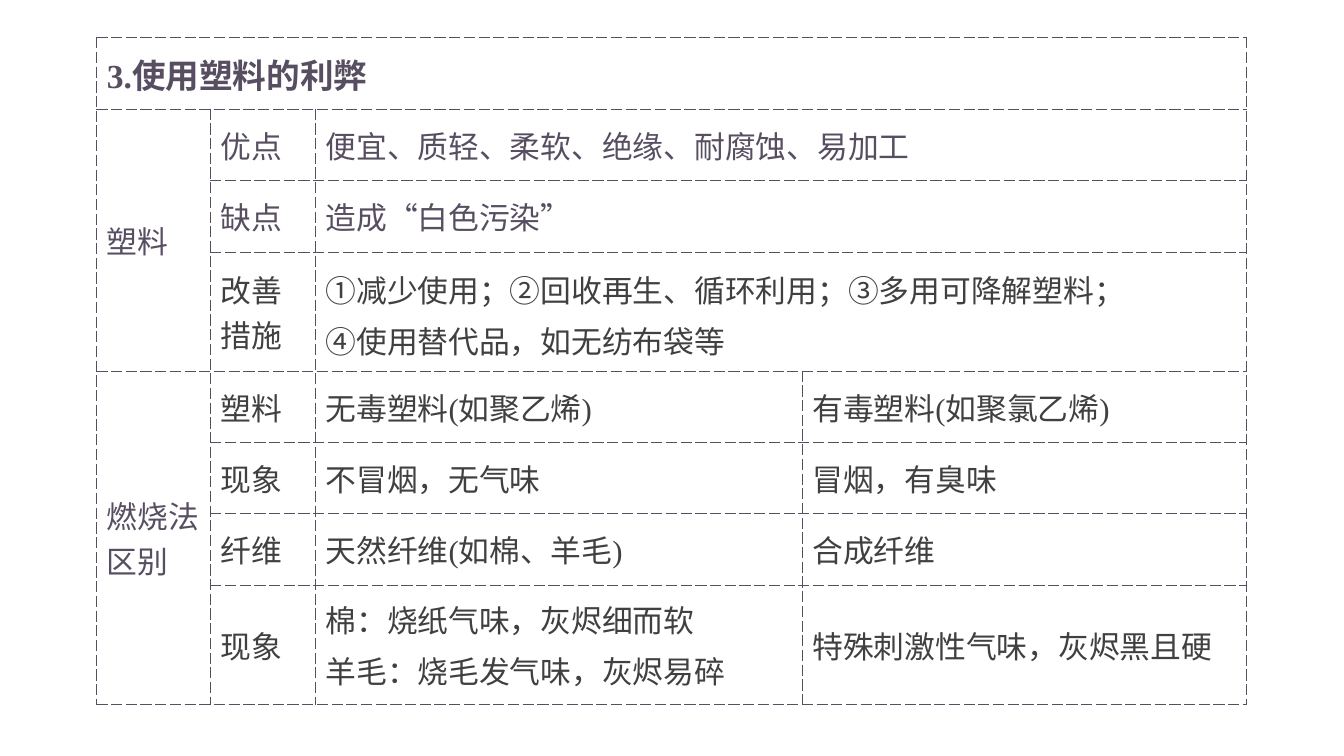
from lxml import etree
from pptx import Presentation
from pptx.dml.color import RGBColor
from pptx.enum import lang, text
from pptx.oxml import ns
from pptx.util import Cm, Pt

PURPLE, GREY, WHITE = "584E61", "404040", "FFFFFF"
FONT = "Times New Roman"
TABLE_LEFT, TABLE_TOP = 2.44, 0.95
COLUMN_WIDTHS = [2.87, 2.64, 12.27, 11.2]
LOW_ROW, TALL_ROW = 1.8, 3.0
TALL_ROWS = {3, 7}

# (row, column, row span, column span, lines, colour)
CELLS = [
    (0, 0, 1, 4, ["3.使用塑料的利弊"], PURPLE),
    (1, 0, 3, 1, ["塑料"], PURPLE),
    (1, 1, 1, 1, ["优点"], PURPLE),
    (1, 2, 1, 2, ["便宜、质轻、柔软、绝缘、耐腐蚀、易加工"], PURPLE),
    (2, 1, 1, 1, ["缺点"], PURPLE),
    (2, 2, 1, 2, ["造成“白色污染”"], PURPLE),
    (3, 1, 1, 1, ["改善", "措施"], GREY),
    (3, 2, 1, 2, ["①减少使用；②回收再生、循环利用；③多用可降解塑料；",
                  "④使用替代品，如无纺布袋等"], GREY),
    (4, 0, 4, 1, ["燃烧法", "区别"], PURPLE),
    (4, 1, 1, 1, ["塑料"], GREY),
    (4, 2, 1, 1, ["无毒塑料(如聚乙烯)"], GREY),
    (4, 3, 1, 1, ["有毒塑料(如聚氯乙烯)"], GREY),
    (5, 1, 1, 1, ["现象"], GREY),
    (5, 2, 1, 1, ["不冒烟，无气味"], GREY),
    (5, 3, 1, 1, ["冒烟，有臭味"], GREY),
    (6, 1, 1, 1, ["纤维"], GREY),
    (6, 2, 1, 1, ["天然纤维(如棉、羊毛)"], GREY),
    (6, 3, 1, 1, ["合成纤维"], GREY),
    (7, 1, 1, 1, ["现象"], GREY),
    (7, 2, 1, 1, ["棉：烧纸气味，灰烬细而软", "羊毛：烧毛发气味，灰烬易碎"], GREY),
    (7, 3, 1, 1, ["特殊刺激性气味，灰烬黑且硬"], GREY),
]
WIDE_LINES = {(3, 2): (0, 1), (7, 2): (1,)}
LINE_SPACING = 1.15


def colour(value):
    return RGBColor.from_string(value)


def add_borders(cell):
    """Put a dashed line on all four sides, ahead of the cell's fill."""
    properties = cell._tc.get_or_add_tcPr()
    for position, side in enumerate(("lnL", "lnR", "lnT", "lnB")):
        line = etree.Element(ns.qn(f"a:{side}"), w=str(Pt(0.75)))
        fill = etree.SubElement(line, ns.qn("a:solidFill"))
        etree.SubElement(fill, ns.qn("a:srgbClr"), val=PURPLE)
        etree.SubElement(line, ns.qn("a:prstDash"), val="sysDash")
        properties.insert(position, line)


def write_cell(cell, lines, font_format, wide_lines):
    cell.text_frame.text = "\n".join(lines)
    for number, paragraph in enumerate(cell.text_frame.paragraphs):
        if number in wide_lines:
            paragraph.line_spacing = LINE_SPACING
        font = paragraph.runs[0].font
        for name, value in font_format.items():
            setattr(font, name, value)


def add_plastics_table(slide):
    heights = [TALL_ROW if row in TALL_ROWS else LOW_ROW for row in range(8)]
    frame = slide.shapes.add_table(
        len(heights), len(COLUMN_WIDTHS), Cm(TABLE_LEFT), Cm(TABLE_TOP),
        Cm(sum(COLUMN_WIDTHS)), Cm(sum(heights)))
    table = frame.table
    table.first_row = table.horz_banding = False
    for column, width in zip(table.columns, COLUMN_WIDTHS):
        column.width = Cm(width)
    for row, height in zip(table.rows, heights):
        row.height = Cm(height)
    for cell in table.iter_cells():
        cell.fill.solid()
        cell.fill.fore_color.rgb = colour(WHITE)
        cell.vertical_anchor = text.MSO_ANCHOR.MIDDLE
        add_borders(cell)

    for row, column, row_span, column_span, lines, text_colour in CELLS:
        cell = table.cell(row, column)
        if row_span * column_span > 1:
            cell.merge(table.cell(row + row_span - 1, column + column_span - 1))
        is_title = row == 0
        font_format = {
            "name": FONT,
            "size": Pt(24 if is_title else 22),
            "bold": is_title,
            "language_id": lang.MSO_LANGUAGE_ID.SIMPLIFIED_CHINESE,
        }
        write_cell(cell, lines, font_format, WIDE_LINES.get((row, column), ()))
        for paragraph in cell.text_frame.paragraphs:
            paragraph.runs[0].font.color.rgb = colour(text_colour)


def main():
    presentation = Presentation()
    presentation.slide_width, presentation.slide_height = Cm(33.87), Cm(19.05)
    slide = presentation.slides.add_slide(presentation.slide_layouts[6])
    add_plastics_table(slide)
    presentation.save("out.pptx")


if __name__ == "__main__":
    main()
